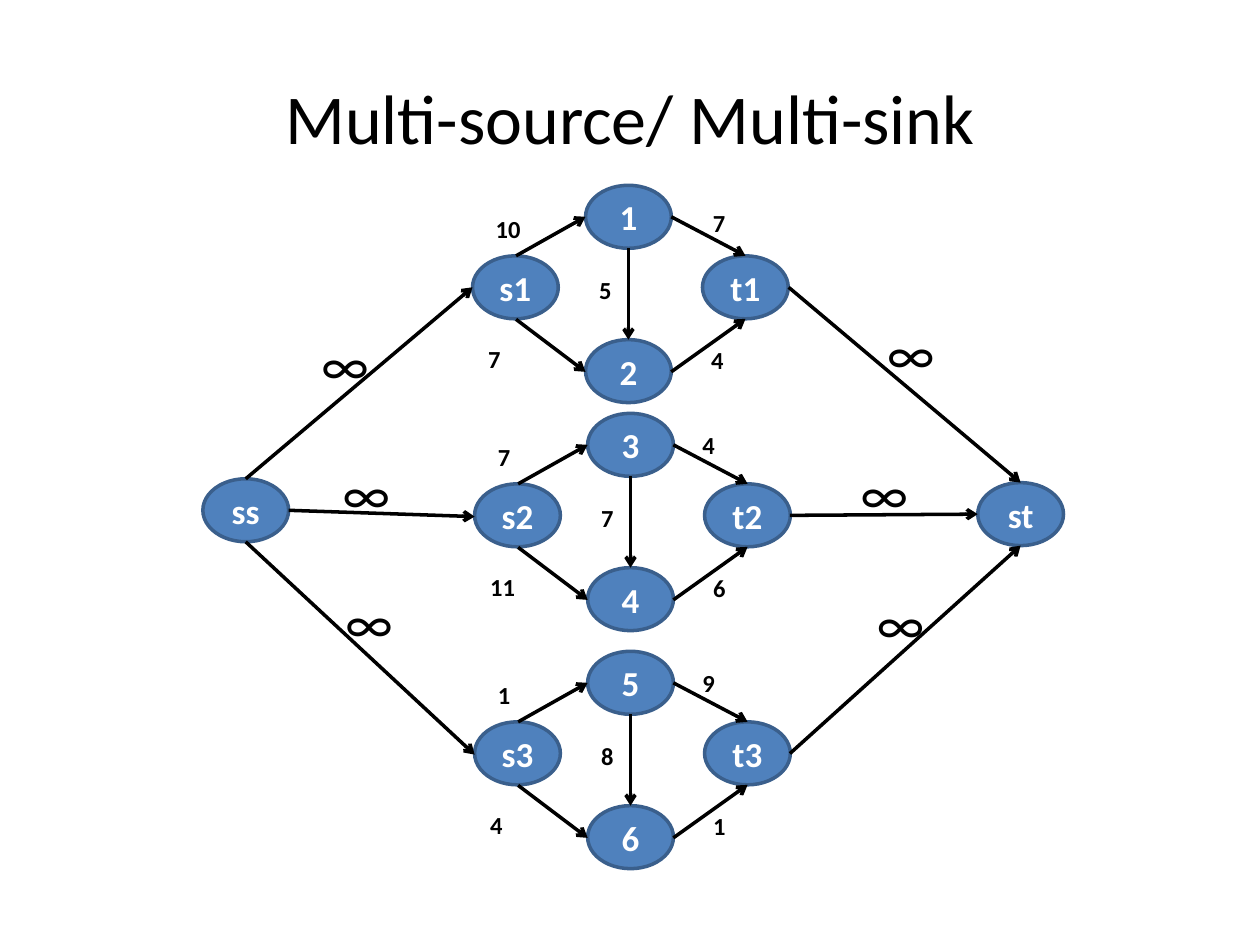
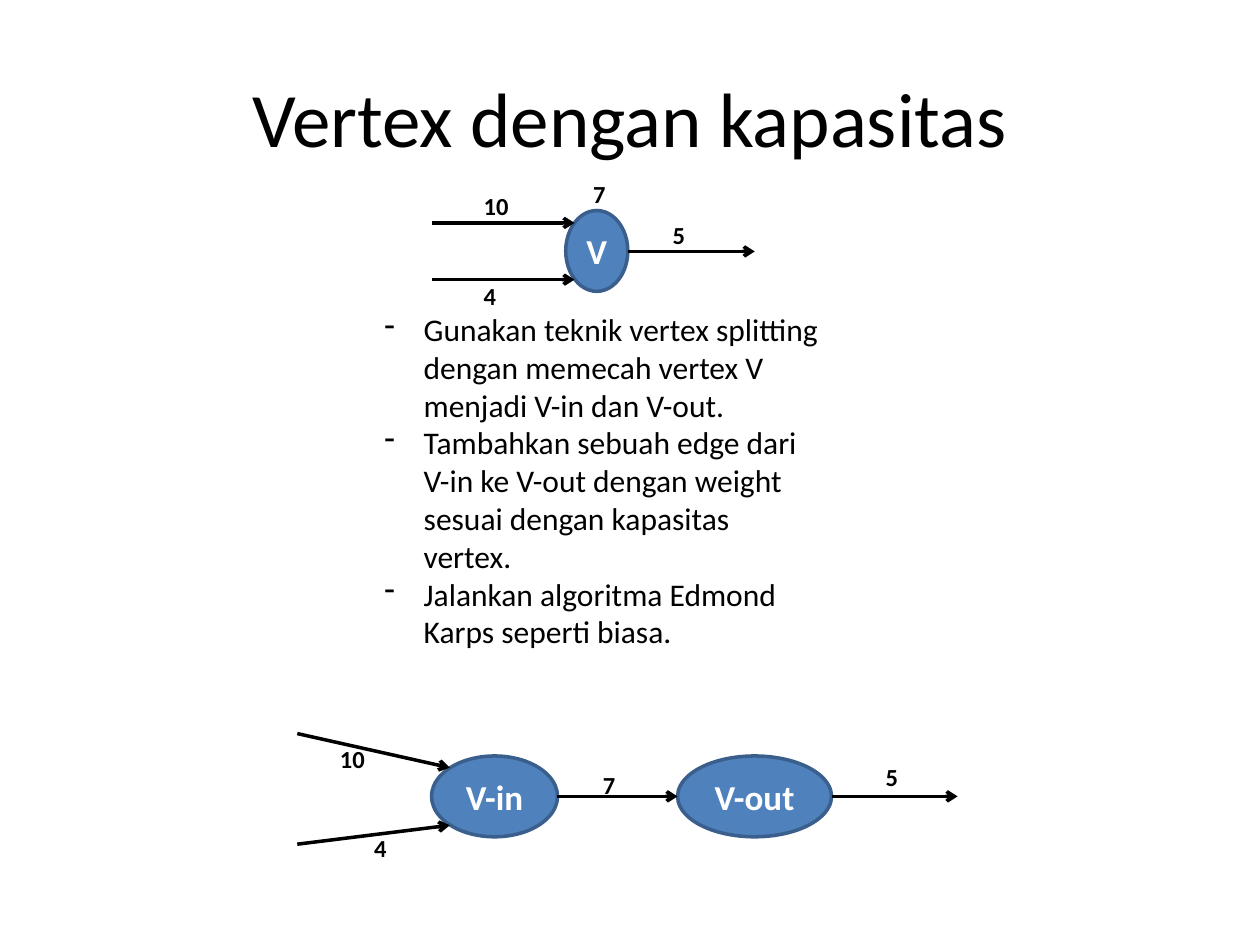
"""Builds two slides on maximum flow: several sources and sinks, and vertices with capacity."""
import pptx
import pptx.util
import pptx.dml.color
import pptx.enum.shapes
import pptx.enum.text
import pptx.oxml.ns
import lxml.etree

Pt = pptx.util.Pt
qn = pptx.oxml.ns.qn
Align = pptx.enum.text.PP_ALIGN
Anchor = pptx.enum.text.MSO_ANCHOR
AutoSize = pptx.enum.text.MSO_AUTO_SIZE

FONT = "Calibri"
BLACK, WHITE, NODE_FILL, NODE_LINE = "000000", "FFFFFF", "4F81BD", "3A5F8C"
STROKE = 2
NODE_WIDTH, NODE_HEIGHT = 49, 36


def colour(hex_string):
    return pptx.dml.color.RGBColor.from_string(hex_string)


def write(frame, text, size=14, bold=False, color=BLACK, align=Align.LEFT, anchor=Anchor.TOP, bullet=None, indent=22.5):
    frame.word_wrap = True
    frame.vertical_anchor = anchor
    frame.text = text
    for paragraph in frame.paragraphs:
        paragraph.alignment = align
        paragraph.space_before = Pt(0)
        font = paragraph.runs[0].font
        font.name, font.size, font.bold = FONT, Pt(size), bold
        font.color.rgb = colour(color)
        if bullet:
            properties = paragraph._p.get_or_add_pPr()
            properties.set("marL", str(Pt(indent)))
            properties.set("indent", str(-Pt(indent)))
            lxml.etree.SubElement(properties, qn("a:buFontTx"))
            lxml.etree.SubElement(properties, qn("a:buChar")).set("char", bullet)


presentation = pptx.Presentation()
presentation.slide_width, presentation.slide_height = Pt(720), Pt(540)

slides = []
for layout, title, size in [(5, "Multi-source/ Multi-sink", 40), (1, "Vertex dengan kapasitas", 44)]:
    slide = presentation.slides.add_slide(presentation.slide_layouts[layout])
    shape = slide.shapes.title
    shape.left, shape.top, shape.width, shape.height = Pt(36), Pt(21.6), Pt(648), Pt(90)
    write(shape.text_frame, title, size=size, align=Align.CENTER, anchor=Anchor.MIDDLE)
    slides.append(slide)
network_slide, vertex_slide = slides

body = vertex_slide.placeholders[1]
body.left, body.top, body.width, body.height = Pt(212.4), Pt(173.5), Pt(262.8), Pt(225.4)
body.text_frame.auto_size = AutoSize.NONE
steps = [
    "Gunakan teknik vertex splitting dengan memecah vertex V menjadi V-in dan V-out.",
    "Tambahkan sebuah edge dari V-in ke V-out dengan weight sesuai dengan kapasitas vertex.",
    "Jalankan algoritma Edmond Karps seperti biasa.",
]
write(body.text_frame, "\n".join(steps), size=18, bullet="-")

diagrams = []
clusters = [
    (270, 105.9, ["s1", "1", "2", "t1"], ["10", "7", "5", "7", "4"], (130.3, 9.4)),
    (271.2, 236.2, ["s2", "3", "4", "t2"], ["7", "11", "7", "4", "6"], (123.1, 5.8)),
    (271.2, 372.2, ["s3", "5", "6", "t3"], ["1", "4", "8", "9", "1"], (123.1, 5.8)),
]
node_offsets = [(0, 40.3), (64.6, 0), (64.6, 88.2), (131.4, 40.3)]
arrow_offsets = [
    (24.9, 40.3, 64.6, 18),
    (24.9, 76.6, 64.6, 106.6),
    (89.1, 36, 89.1, 88.2),
    (113.6, 18, 156, 40.3),
    (113.6, 106.6, 156, 76.3),
]
for left, top, names, capacities, upper_right in clusters:
    label_offsets = [(6.2, 13), (1.8, 87.1), (65.3, 47.5), upper_right, (129.3, 87.8)]
    diagrams.append((
        network_slide.shapes.add_group_shape().shapes,
        [(name, left + x, top + y, NODE_WIDTH, NODE_HEIGHT) for name, (x, y) in zip(names, node_offsets)],
        [(left + x1, top + y1, left + x2, top + y2) for x1, y1, x2, y2 in arrow_offsets],
        [(text, left + x, top + y) for text, (x, y) in zip(capacities, label_offsets)],
        {"size": 14, "bold": True},
    ))

diagrams.append((
    network_slide.shapes,
    [("ss", 115.9, 273.6, NODE_WIDTH, NODE_HEIGHT), ("st", 558.7, 275.8, NODE_WIDTH, NODE_HEIGHT)],
    [
        (140.4, 273.6, 270, 164.2),
        (140.4, 309.6, 271.2, 431.2),
        (164.9, 291.6, 271.2, 295.2),
        (450.7, 164.2, 583.2, 275.8),
        (451.4, 294.5, 558.7, 293.8),
        (451.4, 430.6, 583.2, 311.8),
    ],
    [("∞", x, y) for x, y in [
        (176.4, 185), (188.6, 258.5), (190.1, 331.9), (493.9, 332.6), (484.6, 258.5), (499.7, 178.6)]],
    {"size": 32},
))
diagrams.append((
    vertex_slide.shapes.add_group_shape().shapes,
    [("V", 323.3, 120.3, 35.5, 46.2)],
    [(247, 127.4, 328.3, 127.4), (247, 159.8, 328.3, 159.8), (358.6, 143.7, 431.3, 143.7)],
    [("10", 269.3, 105.8), ("4", 269.3, 157), ("5", 377.3, 122.4), ("7", 331.9, 98.6)],
    {"size": 14, "bold": True},
))
diagrams.append((
    vertex_slide.shapes.add_group_shape().shapes,
    [("V-in", 246.6, 432, 72, 46.2), ("V-out", 387.2, 432, 88, 46.2)],
    [
        (169.9, 419.2, 257, 438.7),
        (169.9, 482.4, 257, 471.6),
        (318.4, 455.1, 387.2, 455.1),
        (475.2, 455.1, 547.2, 455.1),
    ],
    [("10", 187.2, 421.4), ("4", 206.8, 472.3), ("5", 499, 432), ("7", 337.5, 436.3)],
    {"size": 14, "bold": True},
))

for shapes, nodes, arrows, labels, label_format in diagrams:
    for name, *box in nodes:
        node = shapes.add_shape(pptx.enum.shapes.MSO_SHAPE.OVAL, *map(Pt, box))
        node.shadow.inherit = False
        node.fill.solid()
        node.fill.fore_color.rgb = colour(NODE_FILL)
        node.line.color.rgb = colour(NODE_LINE)
        node.line.width = Pt(STROKE)
        node.text_frame.margin_left = node.text_frame.margin_right = 0
        write(node.text_frame, name, size=20, bold=True, color=WHITE, align=Align.CENTER, anchor=Anchor.MIDDLE)
    for ends in arrows:
        arrow = shapes.add_connector(pptx.enum.shapes.MSO_CONNECTOR.STRAIGHT, *map(Pt, ends))
        arrow.line.color.rgb = colour(BLACK)
        arrow.line.width = Pt(STROKE)
        lxml.etree.SubElement(arrow.line._get_or_add_ln(), qn("a:tailEnd")).set("type", "arrow")
        lxml.etree.SubElement(arrow._element.spPr, qn("a:effectLst"))
    for text, x, y in labels:
        label = shapes.add_textbox(Pt(x), Pt(y), Pt(42), Pt(label_format["size"] * 1.22 + 7.2))
        label.text_frame.auto_size = AutoSize.SHAPE_TO_FIT_TEXT
        write(label.text_frame, text, **label_format)

presentation.save("out.pptx")
